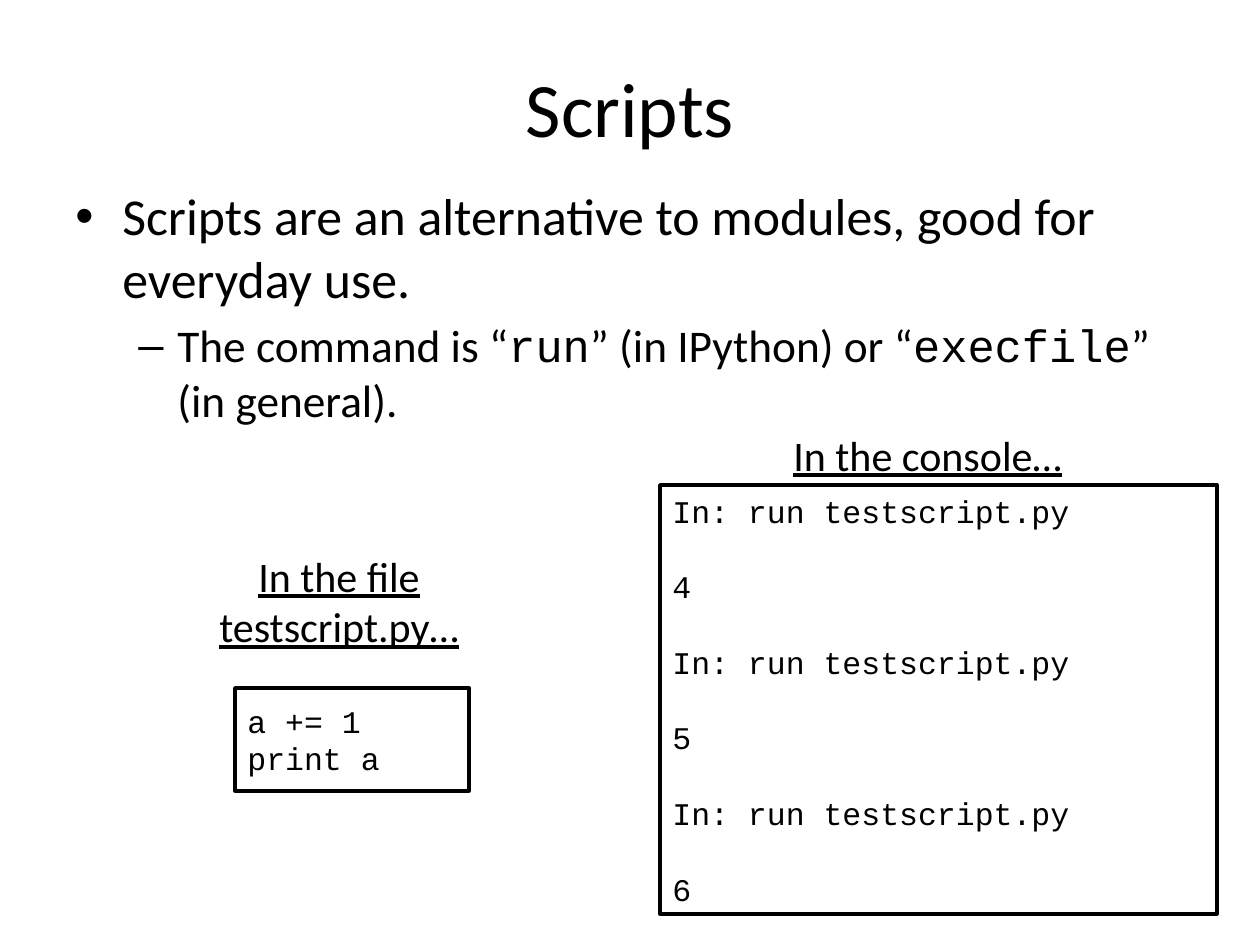
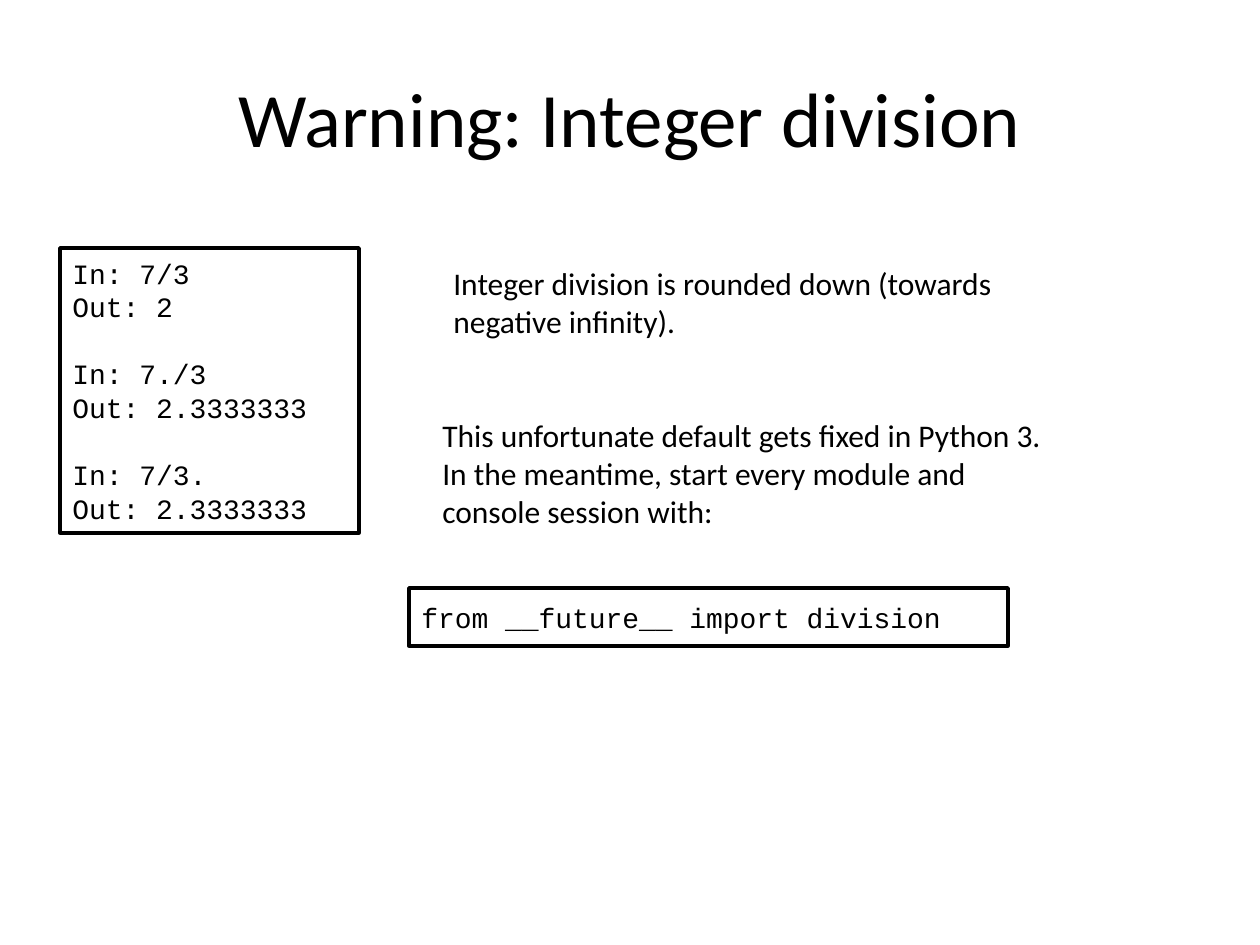
from lxml.etree import SubElement
from pptx import Presentation
from pptx.dml.color import RGBColor
from pptx.enum.shapes import MSO_SHAPE as Shape
from pptx.enum.text import MSO_ANCHOR as Anchor, PP_ALIGN as Align
from pptx.oxml.ns import qn
from pptx.util import Emu, Pt

BLACK = RGBColor(0, 0, 0)
WHITE = RGBColor(255, 255, 255)
PROSE, CODE = "Calibri", "Courier New"
LINE_PITCH = 1.2      # height of a code line, relative to its size
BULLET_GAP = 0.2      # space before a bullet, relative to its size


def px(length):
    """Turn pixels (126 to the inch) into EMU."""
    return Emu(round(length * 914400 / 126))


def write(paragraph, text, size=18, font=PROSE, underline=None,
          align=Align.LEFT, before=0):
    """Add text to a paragraph as one formatted run."""
    paragraph.alignment = align
    paragraph.space_before = Pt(before)
    run = paragraph.add_run()
    run.text = text
    run.font.name = font
    run.font.size = Pt(size)
    run.font.underline = underline
    run.font.color.rgb = BLACK


def set_bullet(paragraph, mark, indent, hanging):
    """Give a paragraph a bullet mark with a hanging indent."""
    properties = paragraph._p.get_or_add_pPr()
    properties.set("marL", str(px(indent)))
    properties.set("indent", str(-px(hanging)))
    SubElement(properties, qn("a:buFont"), typeface="Arial")
    SubElement(properties, qn("a:buChar"), char=mark)


def next_paragraph(frame, index):
    return frame.add_paragraph() if index else frame.paragraphs[0]


class Deck:
    """Holds the shared style and the current slide."""

    def __init__(self):
        self.prs = Presentation()
        self.prs.slide_width, self.prs.slide_height = px(1260), px(945)
        self.slide = None

    def add_slide(self, title, title_top):
        self.slide = self.prs.slides.add_slide(self.prs.slide_layouts[5])
        background = self.slide.background.fill
        background.solid()
        background.fore_color.rgb = WHITE
        heading = self.slide.shapes.title
        heading.left, heading.top = px(63), px(title_top)
        heading.width, heading.height = px(1134), px(158)
        heading.text_frame.vertical_anchor = Anchor.MIDDLE
        write(heading.text_frame.paragraphs[0], title, size=44,
              align=Align.CENTER)

    def text_frame(self, box):
        frame = self.slide.shapes.add_textbox(*map(px, box)).text_frame
        frame.word_wrap = True
        return frame

    def add_text(self, box, text, **style):
        write(self.text_frame(box).paragraphs[0], text, **style)

    def add_bullets(self, box, bullets):
        """Each bullet is (mark, indent, hanging, size, [(text, font), ...])."""
        frame = self.text_frame(box)
        for i, (mark, indent, hanging, size, parts) in enumerate(bullets):
            paragraph = next_paragraph(frame, i)
            for text, font in parts:
                write(paragraph, text, size=size, font=font,
                      before=round(size * BULLET_GAP, 1))
            set_bullet(paragraph, mark, indent, hanging)

    def add_code(self, box, groups, size):
        """Draw a framed listing, with one line's gap between its groups."""
        panel = self.slide.shapes.add_shape(Shape.RECTANGLE, *map(px, box))
        panel.shadow.inherit = False
        panel.fill.background()
        panel.line.color.rgb = BLACK
        panel.line.width = Pt(2)
        frame = panel.text_frame
        frame.word_wrap = True
        frame.vertical_anchor = Anchor.MIDDLE
        lines = [(line, group > 0 and row == 0)
                 for group, rows in enumerate(groups)
                 for row, line in enumerate(rows)]
        for i, (line, gap) in enumerate(lines):
            write(next_paragraph(frame, i), line, size=size, font=CODE,
                  before=round(size * LINE_PITCH, 1) if gap else 0)


def scripts_slide(deck):
    deck.add_slide("Scripts", title_top=28)
    deck.add_bullets((63, 178, 1134, 244), [
        ("•", 47, 47, 29.6, [
            ("Scripts are an alternative to modules, good for everyday use.",
             PROSE)]),
        ("–", 102, 39, 25.9, [
            ("The command is “", PROSE), ("run", CODE),
            ("” (in IPython) or “", PROSE), ("execfile", CODE),
            ("” (in general).", PROSE)]),
    ])

    # Console session: each run raises the printed value by one
    session = [[line] for value in (4, 5, 6)
               for line in ("In: run testscript.py", str(value))]
    deck.add_code((660, 485, 557, 429), session, size=18)

    # Script file
    deck.add_code((235, 688, 234, 103), [["a += 1", "print a"]], size=18)

    # Captions
    deck.add_text((149, 544, 380, 115), "In the file testscript.py…",
                  size=24, underline=True, align=Align.CENTER)
    deck.add_text((781, 423, 380, 63), "In the console…",
                  size=24, underline=True)


def division_slide(deck):
    deck.add_slide("Warning: Integer division", title_top=38)

    # Console session
    results = [("7/3", "2"), ("7./3", "2.3333333"), ("7/3.", "2.3333333")]
    session = [[f"In: {entry}", f"Out: {result}"] for entry, result in results]
    deck.add_code((60, 248, 299, 285), session, size=16)

    # Explanation and remedy
    deck.add_text((441, 258, 606, 89),
                  "Integer division is rounded down (towards negative "
                  "infinity).")
    deck.add_text((430, 410, 640, 127),
                  "This unfortunate default gets fixed in Python 3. In the "
                  "meantime, start every module and console session with:")
    deck.add_code((409, 588, 599, 58), [["from __future__ import division"]],
                  size=16)


def main():
    deck = Deck()
    scripts_slide(deck)
    division_slide(deck)
    deck.prs.save("out.pptx")


if __name__ == "__main__":
    main()
